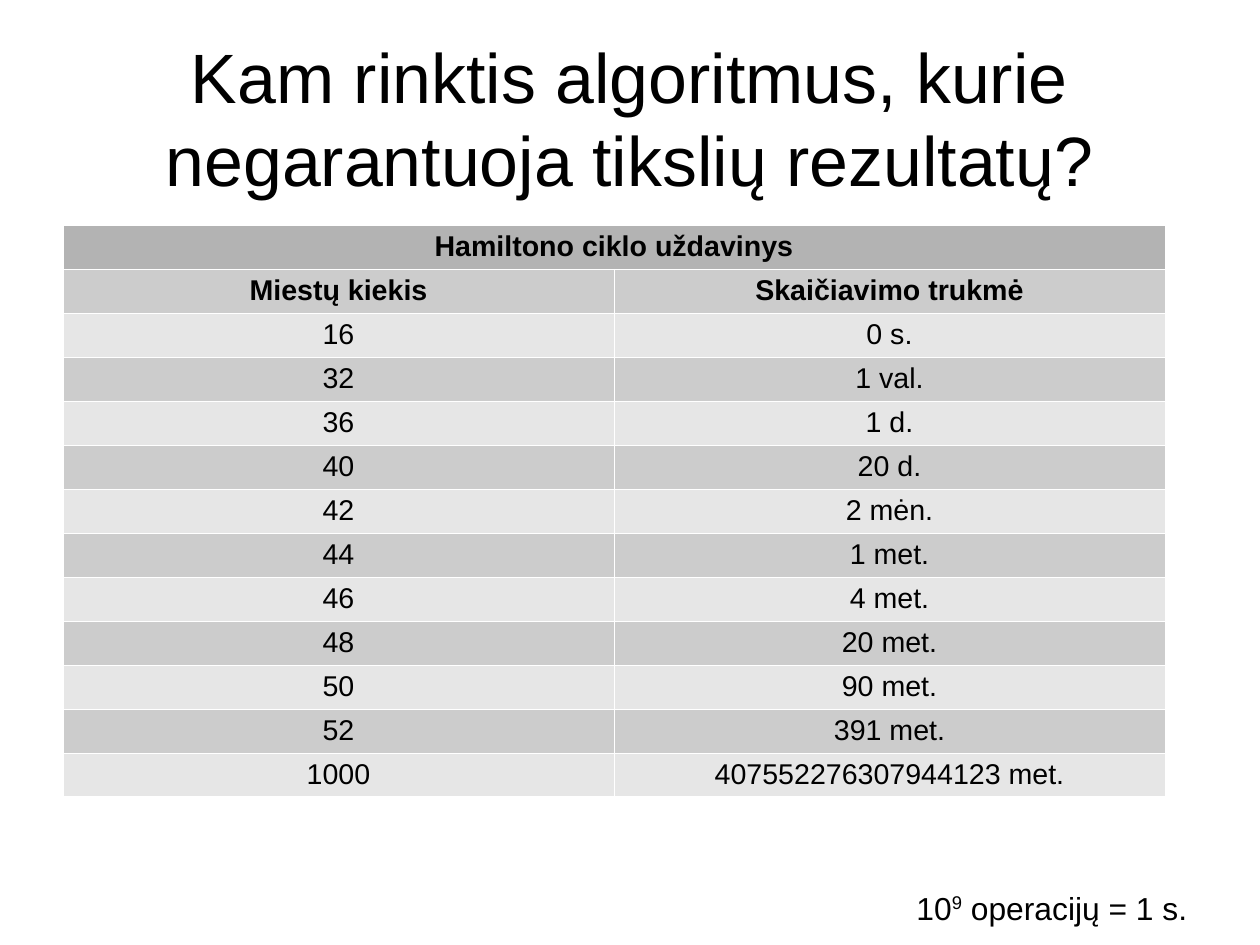
from pptx import Presentation
from pptx.dml.color import RGBColor
from pptx.enum.text import MSO_ANCHOR as Anchor, MSO_AUTO_SIZE as Fit, PP_ALIGN as Align
from pptx.oxml import parse_xml
from pptx.oxml.ns import nsdecls
from pptx.util import Pt

PX = 8000
hue = RGBColor.from_string


def write(frame, parts, size, bold=False):
    para = frame.paragraphs[0]
    para.alignment = Align.CENTER
    for text, base in parts:
        run = para.add_run()
        run.text = text
        run.font.color.rgb = hue("000000")
        look = {"name": "Arial", "size": Pt(size), "bold": bold}
        for key, val in look.items():
            setattr(run.font, key, val)
        if base:
            run._r.get_or_add_rPr().set("baseline", str(base))


deck = Presentation()
deck.slide_width, deck.slide_height = 1260 * PX, 945 * PX
slide = deck.slides.add_slide(deck.slide_layouts[5])

title = slide.shapes.title
note = slide.shapes.add_textbox(0, 0, PX, PX)
texts = [
    (title, (63, 38, 1134, 158), 44,
     [("Kam rinktis algoritmus, kurie negarantuoja tikslių rezultatų?", 0)]),
    (note, (869, 834, 366, 147), 20,
     [("10", 0), ("9", 33000), (" operacijų = 1 s.", 0)]),
]
plain = {"margin_left": 0, "margin_top": 0, "margin_right": 0, "margin_bottom": 0,
         "word_wrap": True, "auto_size": Fit.NONE, "vertical_anchor": Anchor.MIDDLE}
for shape, box, size, parts in texts:
    for key, val in zip(("left", "top", "width", "height"), box):
        setattr(shape, key, val * PX)
    for key, val in plain.items():
        setattr(shape.text_frame, key, val)
    write(shape.text_frame, parts, size)

rows = [
    ("Hamiltono ciklo uždavinys", ""),
    ("Miestų kiekis", "Skaičiavimo trukmė"),
    ("16", "0 s."),
    ("32", "1 val."),
    ("36", "1 d."),
    ("40", "20 d."),
    ("42", "2 mėn."),
    ("44", "1 met."),
    ("46", "4 met."),
    ("48", "20 met."),
    ("50", "90 met."),
    ("52", "391 met."),
    ("1000", "407552276307944123 met."),
]
high = 44
table = slide.shapes.add_table(
    len(rows), 2, 63 * PX, 225 * PX, 1102 * PX, len(rows) * high * PX).table
table.cell(0, 0).merge(table.cell(0, 1))
for r, row in enumerate(rows):
    fill = "B3B3B3" if r == 0 else ("E6E6E6", "CCCCCC")[r % 2]
    for c, text in enumerate(row):
        cell = table.cell(r, c)
        props = cell._tc.get_or_add_tcPr()
        for side in "LRTB":
            props.append(parse_xml(
                f'<a:ln{side} {nsdecls("a")} w="720"><a:solidFill>'
                f'<a:srgbClr val="FFFFFF"/></a:solidFill></a:ln{side}>'))
        cell.fill.solid()
        cell.fill.fore_color.rgb = hue(fill)
        if text:
            write(cell.text_frame, [(text, 0)], 18, r < 2)

deck.save("out.pptx")
